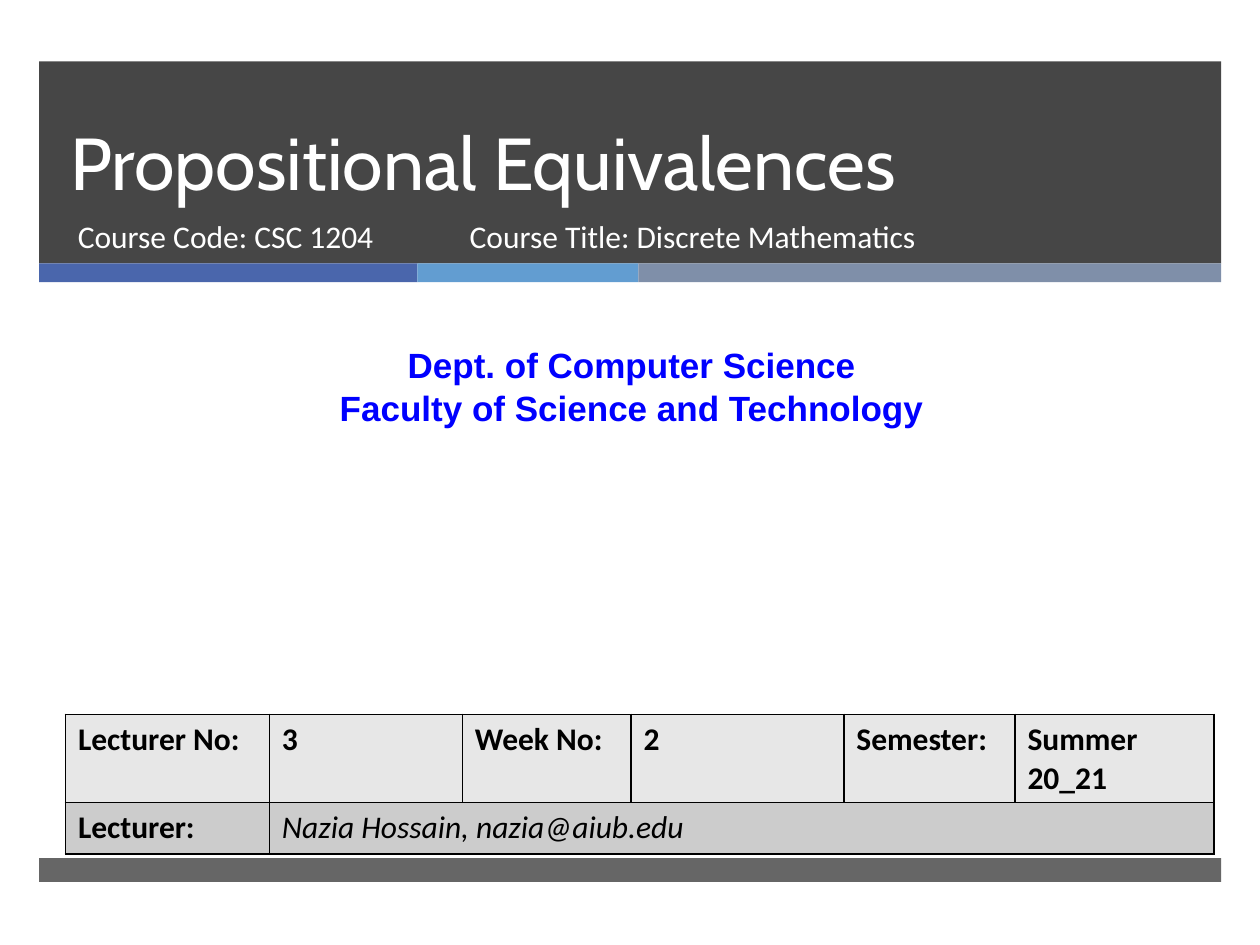
from lxml import etree
from pptx import Presentation
from pptx.dml.color import RGBColor
from pptx.enum.shapes import MSO_SHAPE
from pptx.enum.text import MSO_ANCHOR, PP_ALIGN
from pptx.oxml.ns import qn
from pptx.util import Cm, Pt

RECTANGLE = MSO_SHAPE.RECTANGLE
TOP, BOTTOM = MSO_ANCHOR.TOP, MSO_ANCHOR.BOTTOM
LEFT, CENTER = PP_ALIGN.LEFT, PP_ALIGN.CENTER

COLORS = {
    "band": "262626",
    "indigo": "4A66AC",
    "sky": "629DD1",
    "slate": "7F8FA9",
    "white": "FFFFFF",
    "black": "000000",
    "department": "0000FF",
    "light_row": "E7E7E7",
    "dark_row": "CCCCCC",
}


def rgb(name):
    return RGBColor.from_string(COLORS[name])


def write_text(frame, text, size=18, font="Calibri", color="white", bold=False,
               italic=False, align=LEFT, line_spacing=None):
    """Fill a text frame, one paragraph for each line of text."""
    frame.word_wrap = True
    for index, line in enumerate(text.split("\n")):
        paragraph = frame.add_paragraph() if index else frame.paragraphs[0]
        paragraph.alignment = align
        paragraph.line_spacing = line_spacing
        run = paragraph.add_run()
        run.text = line
        run.font.size = Pt(size)
        run.font.name = font
        run.font.bold = bold
        run.font.italic = italic
        run.font.color.rgb = rgb(color)


def add_text(slide, left, top, width, height, text, anchor=TOP, **text_format):
    box = slide.shapes.add_textbox(Cm(left), Cm(top), Cm(width), Cm(height))
    box.text_frame.vertical_anchor = anchor
    write_text(box.text_frame, text, **text_format)


def add_bar(slide, left, top, width, height, color, opacity=100):
    bar = slide.shapes.add_shape(RECTANGLE, Cm(left), Cm(top), Cm(width), Cm(height))
    bar.shadow.inherit = False
    bar.fill.solid()
    bar.fill.fore_color.rgb = rgb(color)
    bar.line.fill.background()
    if opacity < 100:
        fill_color = bar.fill._xPr.find(qn("a:solidFill"))[0]
        etree.SubElement(fill_color, qn("a:alpha"), val=str(opacity * 1000))


def add_header(slide, left, top, width, height):
    """Dark title band with a strip of three colours along its foot."""
    strip_height = 0.38
    band_height = height - strip_height
    add_bar(slide, left, top, width, band_height, "band", opacity=85)

    strip_left = left
    for color, share in (("indigo", 0.32), ("sky", 0.187), ("slate", 0.493)):
        add_bar(slide, strip_left, top + band_height, width * share, strip_height, color)
        strip_left += width * share

    title_height = 3.02
    add_text(slide, left + 0.38, top, 21.69, title_height, "Propositional Equivalences",
             anchor=BOTTOM, size=42, font="Cabin", line_spacing=Pt(46))
    add_text(slide, left + 0.53, top + title_height, 7.75, 1.35, "Course Code: CSC 1204")
    add_text(slide, left + 8.43, top + title_height, 11.56, 1.35,
             "Course Title: Discrete Mathematics")


def add_department(slide, left, top, width, height):
    add_text(slide, left, top, width, height,
             "Dept. of Computer Science\nFaculty of Science and Technology",
             size=20, font="Arial", color="department", bold=True, align=CENTER)


def set_borders(cell, color, width):
    properties = cell._tc.get_or_add_tcPr()
    for index, side in enumerate(("a:lnL", "a:lnR", "a:lnT", "a:lnB")):
        line = etree.Element(qn(side), w=str(Pt(width)))
        fill = etree.SubElement(line, qn("a:solidFill"))
        etree.SubElement(fill, qn("a:srgbClr"), val=COLORS[color])
        properties.insert(index, line)


def add_lecture_table(slide, left, top, width, height):
    rows = (
        ("light_row", ("Lecturer No:", "3", "Week No:", "2", "Semester:", "Summer 20_21")),
        ("dark_row", ("Lecturer:", "Nazia Hossain, nazia@aiub.edu")),
    )
    column_widths = (4.11, 3.89, 3.4, 4.29, 3.45, 4.01)
    last_row_height = 1.04
    table = slide.shapes.add_table(len(rows), len(column_widths), Cm(left), Cm(top),
                                   Cm(width), Cm(height)).table
    for column, column_width in zip(table.columns, column_widths):
        column.width = Cm(column_width)
    table.rows[0].height = Cm(height - last_row_height)
    table.rows[1].height = Cm(last_row_height)
    table.cell(1, 1).merge(table.cell(1, len(column_widths) - 1))

    for row_index, (color, texts) in enumerate(rows):
        for cell in table.rows[row_index].cells:
            cell.fill.solid()
            cell.fill.fore_color.rgb = rgb(color)
            set_borders(cell, "black", 1)
        for column_index, text in enumerate(texts):
            is_lecturer = (row_index, column_index) == (1, 1)
            write_text(table.cell(row_index, column_index).text_frame, text,
                       color="black", bold=not is_lecturer, italic=is_lecturer)


def main():
    presentation = Presentation()
    presentation.slide_width = Cm(25.4)
    presentation.slide_height = Cm(19.05)
    slide = presentation.slides.add_slide(presentation.slide_layouts[6])

    margin, content_width = 0.79, 23.83
    add_bar(slide, margin, 17.3, content_width, 0.48, "band", opacity=70)
    add_header(slide, margin, 1.24, content_width, 4.45)
    add_department(slide, 0.2, 6.81, 25.07, 1.96)
    add_lecture_table(slide, 1.32, 14.4, 23.15, 2.82)
    presentation.save("out.pptx")


if __name__ == "__main__":
    main()
